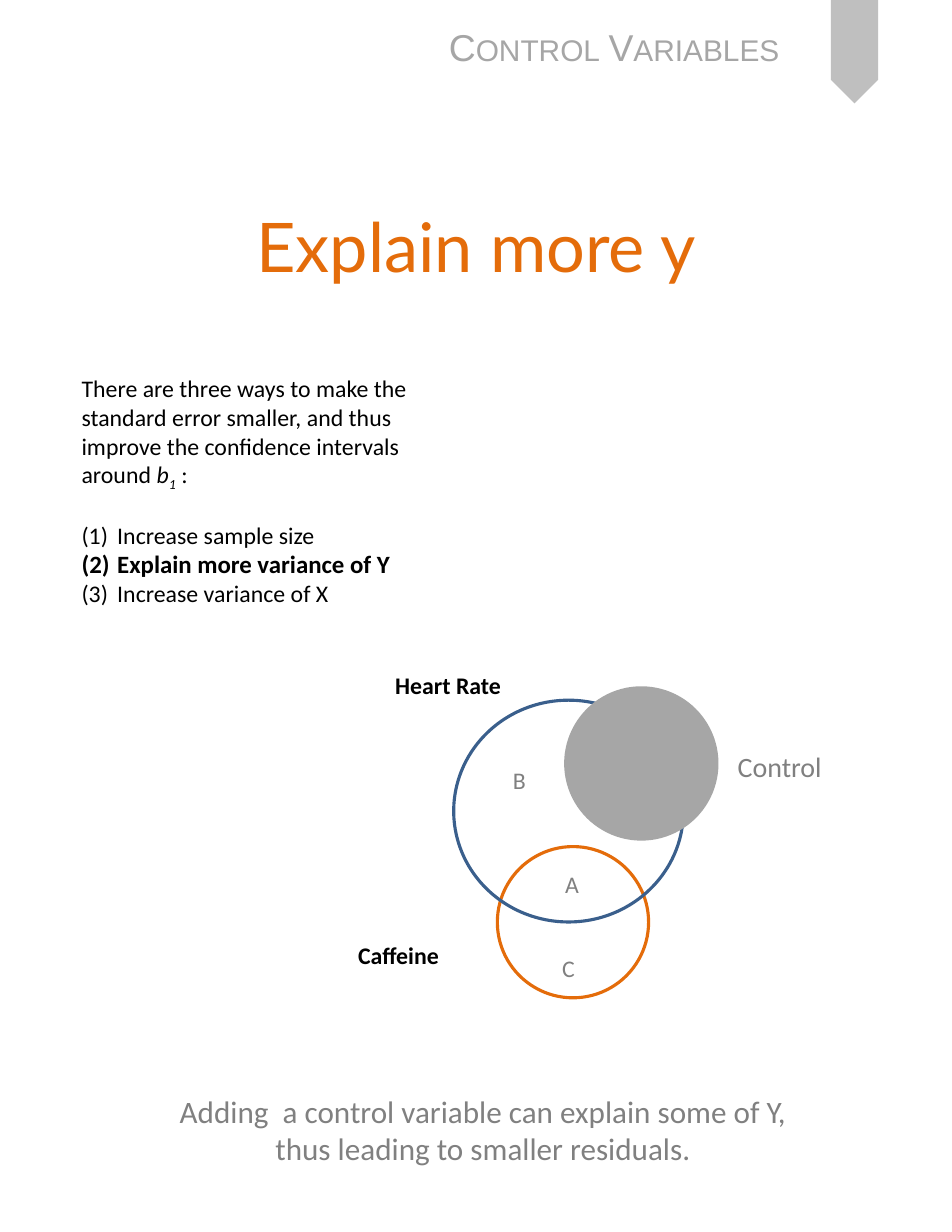
from dataclasses import dataclass
from typing import Any

from lxml.etree import SubElement
from pptx import Presentation
from pptx.dml.color import RGBColor
from pptx.enum.shapes import MSO_SHAPE as Preset
from pptx.enum.text import MSO_ANCHOR as Anchor, MSO_AUTO_SIZE as AutoSize, PP_ALIGN as Align
from pptx.oxml.ns import qn
from pptx.util import Cm, Pt

BLACK, GREY, SILVER = "000000", "808080", "A6A6A6"
ORANGE, BLUE = "E46C0A", "3A5F8C"


def paint(color_format, value):
    color_format.rgb = RGBColor.from_string(value)


@dataclass
class Sheet:
    """Holds the text style and the slide being filled."""

    slide: Any
    font: str = "Calibri"
    size: float = 15.3

    def shape(self, preset, box, fill=None, line=None, rotation=0):
        shape = self.slide.shapes.add_shape(preset, *map(Cm, box))
        shape.shadow.inherit = False
        shape.rotation = rotation
        if fill:
            shape.fill.solid()
            paint(shape.fill.fore_color, fill)
        else:
            shape.fill.background()
        if line:
            paint(shape.line.color, line)
            shape.line.width = Pt(2)
        else:
            shape.line.fill.background()

    def text(self, box, wrap=False, **frame_format):
        frame = self.slide.shapes.add_textbox(*map(Cm, box)).text_frame
        settings = {"word_wrap": wrap, "auto_size": AutoSize.SHAPE_TO_FIT_TEXT} | frame_format
        for name, value in settings.items():
            setattr(frame, name, value)
        return frame

    def run(self, paragraph, words, color=BLACK, extra=None, **font_format):
        run = paragraph.add_run()
        run.text = words
        settings = {"name": self.font, "size": Pt(self.size)} | font_format
        for name, value in settings.items():
            setattr(run.font, name, value)
        paint(run.font.color, color)
        for name, value in (extra or {}).items():
            run.font._element.set(name, value)

    def label(self, words, box, color=GREY, **font_format):
        self.run(self.text(box).paragraphs[0], words, color, **font_format)

    def numbered(self, frame, words, **font_format):
        paragraph = frame.add_paragraph()
        properties = paragraph._p.get_or_add_pPr()
        indent = Cm(0.81)
        properties.set("marL", str(indent))
        properties.set("indent", str(-indent))
        SubElement(properties, qn("a:buFont"), typeface="+mj-lt")
        SubElement(properties, qn("a:buAutoNum"), type="arabicParenBoth")
        self.run(paragraph, words, **font_format)


def main():
    deck = Presentation()
    deck.slide_width, deck.slide_height = Cm(21.59), Cm(27.94)
    sheet = Sheet(deck.slides.add_slide(deck.slide_layouts[6]))

    sheet.shape(Preset.PENTAGON, (18.21, 0.64, 2.34, 1.07), fill="BFBFBF", rotation=90)
    sheet.label("Control Variables", (9.93, 0.43, 8.26, 1.27), SILVER,
                extra={"cap": "small"}, name="Arial", size=Pt(24))

    title = sheet.text((1.09, 3.23, 19.43, 4.65), True,
                       auto_size=AutoSize.NONE, vertical_anchor=Anchor.MIDDLE)
    title.paragraphs[0].alignment = Align.CENTER
    sheet.run(title.paragraphs[0], "Explain more y", ORANGE, name="Lato", size=Pt(44))

    sheet.shape(Preset.OVAL, (11.28, 19.2, 3.43, 3.43), line=ORANGE)
    sheet.shape(Preset.OVAL, (10.29, 15.88, 5.21, 5.03), line=BLUE)
    for variable, box in (("Heart Rate", (8.71, 15.09, 2.92, 0.91)),
                          ("Caffeine", (7.87, 21.21, 2.39, 0.91))):
        sheet.label(variable, box, BLACK, bold=True)
    for region, left, top in (("A", 12.57, 19.61), ("B", 11.38, 17.25), ("C", 12.5, 21.51)):
        sheet.label(region, (left, top, 0.82, 0.91))

    ways = sheet.text((1.6, 8.36, 8.46, 5.49), True)
    intro = ways.paragraphs[0]
    intro.space_after = Pt(18)
    sheet.run(intro, "There are three ways to make the standard error smaller, "
                     "and thus improve the confidence intervals around ")
    sheet.run(intro, "b", italic=True)
    sheet.run(intro, "1", italic=True, extra={"baseline": "-25000"})
    sheet.run(intro, " :")
    sheet.numbered(ways, "Increase sample size")
    sheet.numbered(ways, "Explain more variance of Y", bold=True, size=Pt(16))
    sheet.numbered(ways, "Increase variance of X")

    conclusion = sheet.text((2.92, 24.64, 16.23, 1.96), True).paragraphs[0]
    conclusion.alignment = Align.CENTER
    sheet.run(conclusion, "Adding  a control variable can explain some of Y, ", GREY, size=Pt(20))
    conclusion.add_line_break()
    sheet.run(conclusion, "thus leading to smaller residuals. ", GREY, size=Pt(20))

    sheet.shape(Preset.OVAL, (12.83, 15.6, 3.43, 3.43), fill=SILVER, line=SILVER)
    sheet.label("Control", (16.48, 16.87, 2.46, 1.02), size=Pt(18))

    deck.save("out.pptx")


if __name__ == "__main__":
    main()
